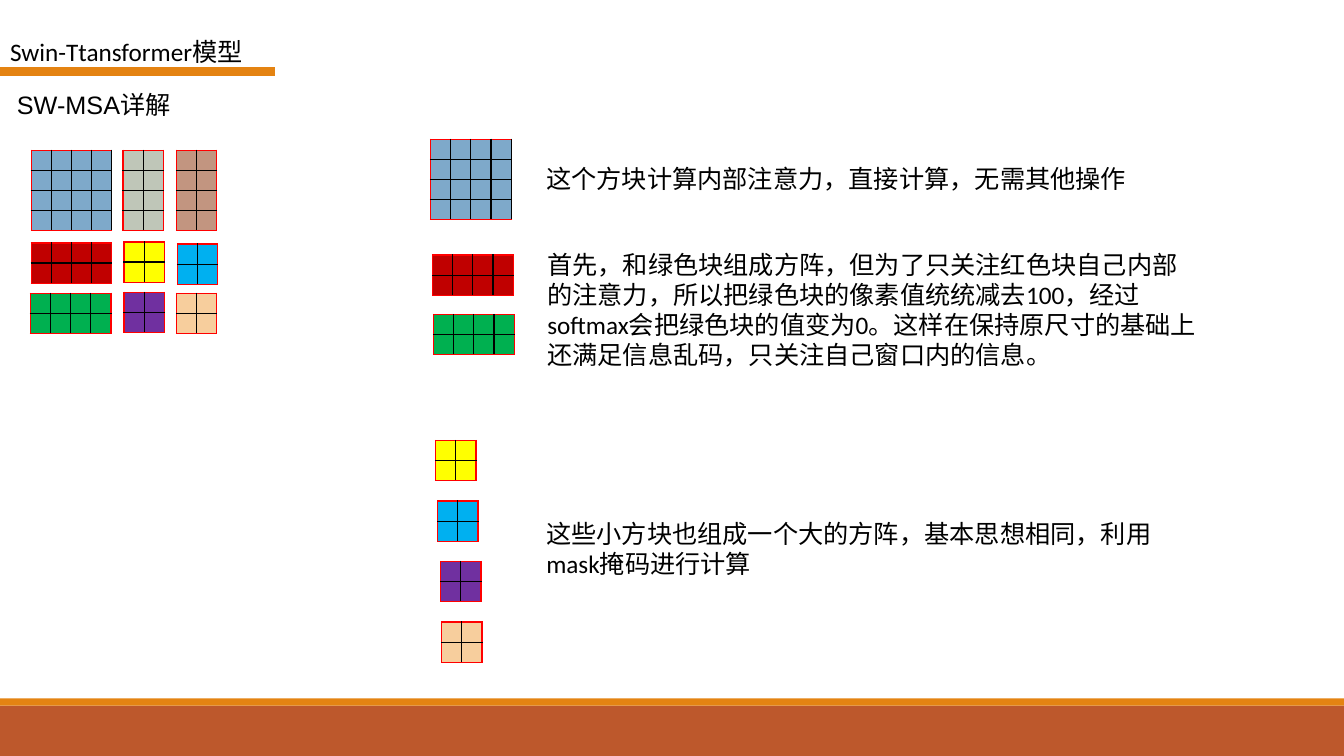
"""Build the slide that explains SW-MSA with coloured window grids."""
from lxml.etree import SubElement
from pptx import Presentation
from pptx.dml.color import RGBColor
from pptx.enum.shapes import MSO_CONNECTOR, MSO_SHAPE
from pptx.enum.text import MSO_ANCHOR, MSO_AUTO_SIZE, PP_ALIGN
from pptx.oxml.ns import qn
from pptx.util import Inches, Pt

THEME = {
    "text": "000000", "edge": "FF0000", "inner": "000000",
    "band": "BD582C", "rule": "E48312",
    "blue": "7EA9CA", "grey": "BFC6B8", "brown": "C29580",
    "red": "C00000", "yellow": "FFFF00", "sky": "00B0F0",
    "green": "00B050", "purple": "7030A0", "peach": "F7CE9D",
    "size": 18, "tiny": 6, "font": "Calibri", "plain": "Arial",
}
CELL = 0.2
SIZES = {"blue": (4, 4), "grey": (4, 2), "brown": (4, 2), "red": (2, 4), "green": (2, 4)}

deck = Presentation()
deck.slide_width, deck.slide_height = Inches(13.33), Inches(7.5)
slide = deck.slides.add_slide(deck.slide_layouts[5])
shapes = slide.shapes


def write(text, box, at, font=THEME["font"], size=THEME["size"], color=THEME["text"]):
    box.left, box.top, box.width, box.height = [Inches(n) for n in at]
    frame = box.text_frame
    frame.word_wrap = True
    frame.auto_size = MSO_AUTO_SIZE.SHAPE_TO_FIT_TEXT
    frame.vertical_anchor = MSO_ANCHOR.TOP
    par = frame.paragraphs[0]
    par.alignment = PP_ALIGN.LEFT
    run = par.add_run()
    run.text = text
    run.font.name, run.font.size = font, Pt(size)
    run.font.color.rgb = RGBColor.from_string(color)


def draw_grid(name, left, top):
    rows, cols = SIZES.get(name, (2, 2))
    frame = shapes.add_table(rows, cols, Inches(left), Inches(top),
                             Inches(cols * CELL), Inches(rows * CELL))
    table = frame.table
    table.first_row = table.horz_banding = False
    for row in table.rows:
        row.height = Inches(CELL)
    for col in table.columns:
        col.width = Inches(CELL)
    for i in range(rows):
        for j in range(cols):
            cell = table.cell(i, j)
            cell.margin_left = cell.margin_right = 0
            cell.margin_top = cell.margin_bottom = 0
            par = cell.text_frame.paragraphs[0]
            SubElement(par._p, qn("a:endParaRPr"), sz=str(THEME["tiny"] * 100))
            outer = {"L": j == 0, "R": j == cols - 1 and name != "blue",
                     "T": i == 0, "B": i == rows - 1}
            for side, red in outer.items():
                line = SubElement(cell._tc.get_or_add_tcPr(), qn("a:ln" + side), w=str(Pt(1)))
                fill = SubElement(line, qn("a:solidFill"))
                SubElement(fill, qn("a:srgbClr"), val=THEME["edge" if red else "inner"])
            cell.fill.solid()
            cell.fill.fore_color.rgb = RGBColor.from_string(THEME[name])


for color, top, height in [("band", 7, 0.5), ("rule", 6.93, 0.07)]:
    bar = shapes.add_shape(MSO_SHAPE.RECTANGLE, 0, Inches(top), deck.slide_width, Inches(height))
    bar.shadow.inherit = False
    bar.fill.solid()
    bar.fill.fore_color.rgb = RGBColor.from_string(THEME[color])
    bar.line.fill.background()

rule = shapes.add_connector(MSO_CONNECTOR.STRAIGHT, 0, Inches(0.71), Inches(2.73), Inches(0.71))
rule.line.color.rgb = RGBColor.from_string(THEME["rule"])
rule.line.width = Pt(6)
SubElement(rule._element.spPr, qn("a:effectLst"))

write("Swin-Ttansformer模型", shapes.title, (0, 0.31, 2.73, 0.4))

notes = [
    ("SW-MSA详解", (0.07, 0.84, 2.83, 0.4), THEME["plain"]),
    ("这个方块计算内部注意力，直接计算，无需其他操作", (5.32, 1.57, 6.67, 0.4), THEME["font"]),
    ("首先，和绿色块组成方阵，但为了只关注红色块自己内部的注意力，所以把绿色块的像素值统统减去100，"
     "经过softmax会把绿色块的值变为0。这样在保持原尺寸的基础上还满足信息乱码，只关注自己窗口内的信息。",
     (5.33, 2.42, 6.67, 1.31), THEME["font"]),
    ("这些小方块也组成一个大的方阵，基本思想相同，利用mask掩码进行计算",
     (5.32, 5.09, 6.67, 0.71), THEME["font"]),
]
for text, at, font in notes:
    write(text, shapes.add_textbox(0, 0, 0, 0), at, font=font)

grids = [
    ("blue", 0.31, 1.49), ("grey", 1.22, 1.49), ("brown", 1.75, 1.49),
    ("red", 0.31, 2.41), ("yellow", 1.23, 2.4), ("sky", 1.76, 2.42),
    ("green", 0.3, 2.91), ("purple", 1.23, 2.9), ("peach", 1.75, 2.91),
    ("blue", 4.27, 1.38), ("red", 4.29, 2.53), ("green", 4.3, 3.12),
    ("yellow", 4.32, 4.37), ("sky", 4.34, 4.97), ("purple", 4.37, 5.57), ("peach", 4.38, 6.17),
]
for name, left, top in grids:
    draw_grid(name, left, top)

deck.save("out.pptx")
